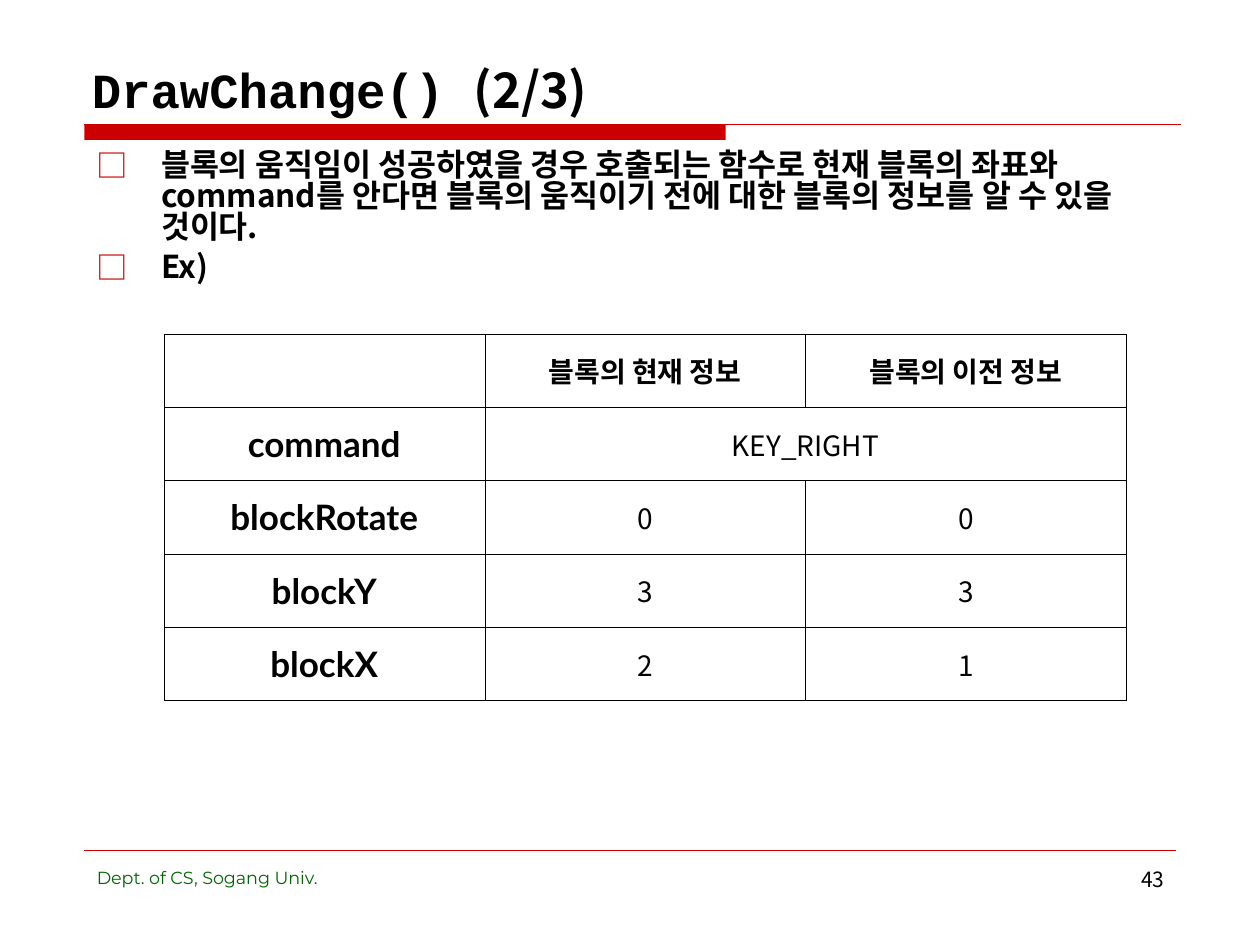
from lxml.etree import SubElement
from pptx import Presentation
from pptx.dml.color import RGBColor
from pptx.enum.shapes import MSO_CONNECTOR, MSO_SHAPE
from pptx.enum.text import MSO_ANCHOR, PP_ALIGN
from pptx.oxml.ns import qn
from pptx.util import Inches, Pt

BLACK = RGBColor(0x00, 0x00, 0x00)
RED = RGBColor(0xCC, 0x00, 0x00)
GREEN = RGBColor(0x00, 0x66, 0x00)
SANS = "Noto Sans CJK KR"

BULLETS = [
    "블록의 움직임이 성공하였을 경우 호출되는 함수로 현재 블록의 좌표와 command를 안다면 "
    "블록의 움직이기 전에 대한 블록의 정보를 알 수 있을 것이다.",
    "Ex)",
]
BLOCK_ROWS = [
    ["", "블록의 현재 정보", "블록의 이전 정보"],
    ["command", "KEY_RIGHT", ""],
    ["blockRotate", "0", "0"],
    ["blockY", "3", "3"],
    ["blockX", "2", "1"],
]


def style_run(span, size, font=SANS, color=BLACK, bold=False):
    """Format a run, using one font for Latin and Korean text."""
    span.font.size = Pt(size)
    span.font.bold = bold
    span.font.color.rgb = color
    span.font.name = font
    SubElement(span._r.get_or_add_rPr(), qn("a:ea"), typeface=font)


def add_title(page):
    title = page.shapes.title
    title.left, title.top = Inches(0.63), Inches(0.33)
    title.width, title.height = Inches(8.75), Inches(0.66)
    title.text_frame.vertical_anchor = MSO_ANCHOR.BOTTOM
    para = title.text_frame.paragraphs[0]
    para.alignment = PP_ALIGN.LEFT
    for text, font in (("DrawChange() ", "Courier New"), ("(2/3)", SANS)):
        span = para.add_run()
        span.text = text
        style_run(span, 28, font, bold=True)


def add_rule(page, top, right, weight):
    rule = page.shapes.add_connector(
        MSO_CONNECTOR.STRAIGHT, Inches(0.67), Inches(top), Inches(right), Inches(top))
    rule.line.color.rgb = RED
    rule.line.width = Pt(weight)
    SubElement(rule._element.spPr, qn("a:effectLst"))


def add_title_bar(page):
    bar = page.shapes.add_shape(
        MSO_SHAPE.RECTANGLE, Inches(0.67), Inches(0.99), Inches(5.09), Inches(0.12))
    bar.shadow.inherit = False
    bar.fill.solid()
    bar.fill.fore_color.rgb = RED
    bar.line.fill.background()


def add_text_box(page, left, top, width, height):
    box = page.shapes.add_textbox(Inches(left), Inches(top), Inches(width), Inches(height))
    box.text_frame.word_wrap = True
    return box.text_frame


def add_footer(page, left, width, text, align, **style):
    para = add_text_box(page, left, 6.83, width, 0.52).paragraphs[0]
    para.text = text
    para.alignment = align
    style_run(para.runs[0], **style)


def add_bullet(para):
    """Give the paragraph a red square bullet and a hanging indent."""
    props = para._p.get_or_add_pPr()
    props.set("marL", str(Inches(0.51)))
    props.set("indent", str(-Inches(0.51)))
    color = SubElement(props, qn("a:buClr"))
    SubElement(color, qn("a:srgbClr"), val=str(RED))
    SubElement(props, qn("a:buFont"), typeface=SANS)
    SubElement(props, qn("a:buChar"), char="□")


def add_body(page):
    frame = add_text_box(page, 0.67, 1.15, 8.66, 5.28)
    for index, text in enumerate(BULLETS):
        para = frame.add_paragraph() if index else frame.paragraphs[0]
        para.text = text
        add_bullet(para)
        para.line_spacing = 0.83
        if index:
            para.space_before = Pt(4.5)
        style_run(para.runs[0], 18, bold=True)


def add_cell_borders(cell):
    props = cell._tc.get_or_add_tcPr()
    for index, side in enumerate(("lnL", "lnR", "lnT", "lnB")):
        border = props.makeelement(qn(f"a:{side}"), {"w": str(Pt(0.06))})
        fill = SubElement(border, qn("a:solidFill"))
        SubElement(fill, qn("a:srgbClr"), val=str(BLACK))
        props.insert(index, border)


def add_block_table(page):
    table = page.shapes.add_table(
        len(BLOCK_ROWS), 3, Inches(1.3), Inches(2.65), Inches(7.64), Inches(2.91)).table
    table.first_row = table.horz_banding = False
    for row, texts in enumerate(BLOCK_ROWS):
        for column, text in enumerate(texts):
            cell = table.cell(row, column)
            cell.fill.background()
            add_cell_borders(cell)
            cell.vertical_anchor = MSO_ANCHOR.MIDDLE
            if not text:
                continue
            para = cell.text_frame.paragraphs[0]
            para.text = text
            para.alignment = PP_ALIGN.CENTER
            if column == 0:
                style_run(para.runs[0], 20, "Lato", bold=True)
            else:
                style_run(para.runs[0], 16, bold=row == 0)
    table.cell(1, 1).merge(table.cell(1, 2))


def main():
    deck = Presentation()
    deck.slide_width, deck.slide_height = Inches(10), Inches(7.5)
    page = deck.slides.add_slide(deck.slide_layouts[5])
    add_title_bar(page)
    add_rule(page, 0.99, 9.37, 0.75)
    add_rule(page, 6.75, 9.33, 0.25)
    add_title(page)
    add_footer(page, 0.67, 3.55, "Dept. of CS, Sogang Univ.", PP_ALIGN.LEFT,
               size=10, font="Montserrat", color=GREEN)
    add_footer(page, 7.17, 2.17, "43", PP_ALIGN.RIGHT, size=12)
    add_body(page)
    add_block_table(page)
    deck.save("out.pptx")


if __name__ == "__main__":
    main()
